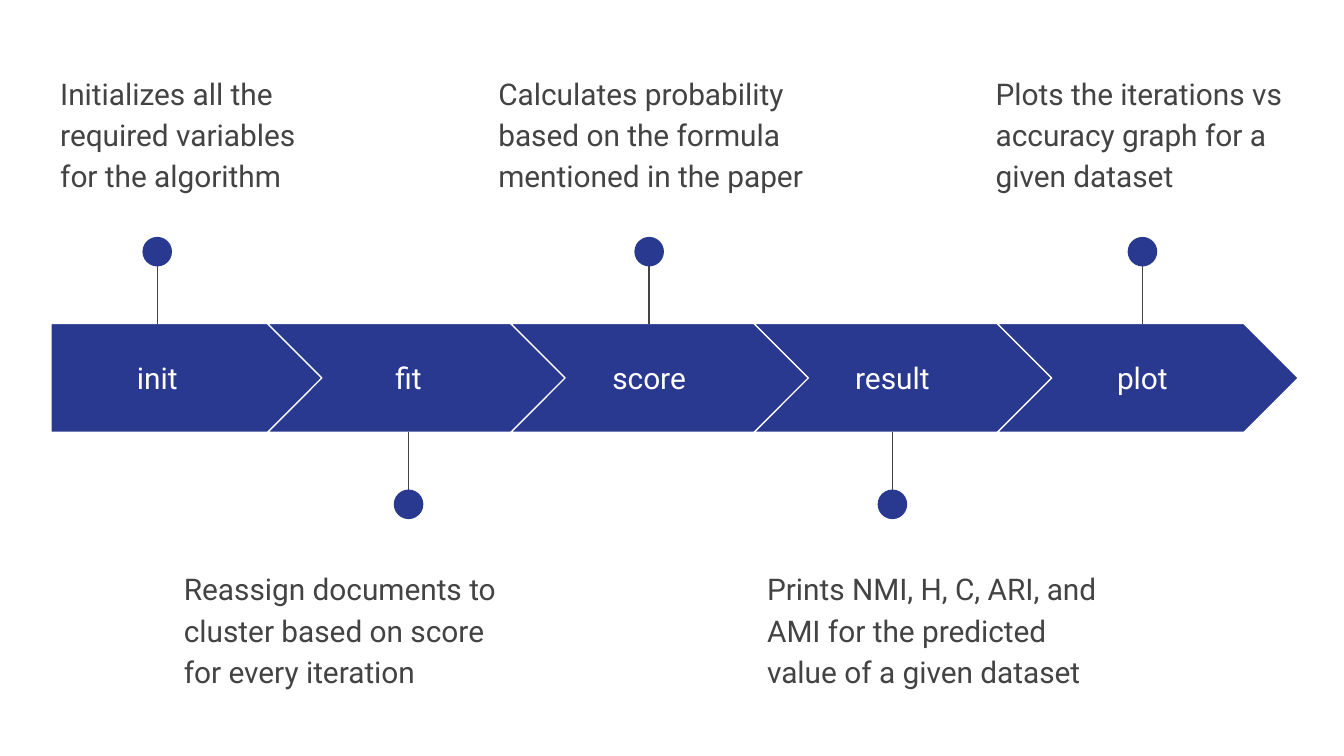
from pptx import Presentation
from pptx import util as u
from pptx.dml.color import RGBColor
from pptx.enum import shapes, text
from pptx.oxml.ns import qn
from lxml import etree

BLUE, GREY, WHITE = "2A3990", "434343", "FFFFFF"
BLANK_LAYOUT = 6
PAGE_WIDTH = 10
PAGE_HEIGHT = PAGE_WIDTH * 9 / 16

# Arrow band, centred on the page height
BAND_MIDDLE, BAND_HEIGHT = PAGE_HEIGHT / 2, 0.81
BAND_LEFT, FIRST_CHEVRON, PITCH = 0.38, 1.99, 1.81
FIRST_WIDTH, CHEVRON_WIDTH = 2.04, 2.24

# Pins, as distances from the middle of the band
PIN_FAR, PIN_NEAR, DOT_OFFSET, DOT_SIZE = 1.01, 0.4, 0.94, 0.22

# Text boxes
LABEL_HEIGHT, NOTE_HEIGHT = 0.51, 0.99
NOTE_TOPS = {-1: 0.42, 1: 4.11}  # above and below the band

# Label, pin centre, label width, note left, note width, note
STEPS = [
    ("init", 1.17, 1.59, 0.35, 2.26,
     "Initializes all the required variables for the algorithm"),
    ("fit", 3.04, 1.44, 1.27, 2.54,
     "Reassign documents to cluster based on score for every iteration"),
    ("score", 4.83, 1.44, 3.61, 2.54,
     "Calculates probability based on the formula mentioned in the paper"),
    ("result", 6.64, 1.44, 5.61, 2.66,
     "Prints NMI, H, C, ARI, and AMI for the predicted value of a given dataset"),
    ("plot", 8.5, 1.44, 7.31, 2.45,
     "Plots the iterations vs accuracy graph for a given dataset"),
]


def color(value):
    return RGBColor.from_string(value)


def inches(*lengths):
    return [u.Inches(length) for length in lengths]


def set_line(line, value):
    line.color.rgb = color(value)
    line.width = u.Pt(0.75)


def add_filled(parent, kind, left, top, width, height):
    shape = parent.shapes.add_shape(kind, *inches(left, top, width, height))
    shape.shadow.inherit = False
    shape.fill.solid()
    shape.fill.fore_color.rgb = color(BLUE)
    return shape


def add_arrow(page, index):
    kind, left, width = shapes.MSO_SHAPE.PENTAGON, BAND_LEFT, FIRST_WIDTH
    if index:
        kind, width = shapes.MSO_SHAPE.CHEVRON, CHEVRON_WIDTH
        left = FIRST_CHEVRON + (index - 1) * PITCH
    arrow = add_filled(page, kind, left, BAND_MIDDLE - BAND_HEIGHT / 2,
                       width, BAND_HEIGHT)
    arrow.adjustments[0] = 0.5
    set_line(arrow.line, WHITE)


def add_pin(page, center, side):
    """Side is -1 above the band and 1 below it."""
    pin = page.shapes.add_group_shape()
    stem = pin.shapes.add_connector(
        shapes.MSO_CONNECTOR.STRAIGHT,
        *inches(center, BAND_MIDDLE + side * PIN_FAR,
                center, BAND_MIDDLE + side * PIN_NEAR))
    set_line(stem.line, GREY)
    etree.SubElement(stem._element.spPr, qn("a:effectLst"))
    dot = add_filled(pin, shapes.MSO_SHAPE.OVAL, center - DOT_SIZE / 2,
                     BAND_MIDDLE + side * DOT_OFFSET - DOT_SIZE / 2,
                     DOT_SIZE, DOT_SIZE)
    dot.line.fill.background()


def add_text(page, wording, place, ink, anchor, paragraph_format):
    frame = page.shapes.add_textbox(*inches(*place)).text_frame
    frame_format = {"word_wrap": True, "vertical_anchor": anchor}
    for side in ("left", "top", "right", "bottom"):
        frame_format["margin_" + side] = u.Inches(0.1)
    para = frame.paragraphs[0]
    span = para.add_run()
    span.text = wording
    span.font.color.rgb = color(ink)
    font_format = {"name": "Roboto", "size": u.Pt(16)}
    for target, values in ((frame, frame_format), (para, paragraph_format),
                           (span.font, font_format)):
        for name, value in values.items():
            setattr(target, name, value)


def main():
    deck = Presentation()
    deck.slide_width, deck.slide_height = inches(PAGE_WIDTH, PAGE_HEIGHT)
    page = deck.slides.add_slide(deck.slide_layouts[BLANK_LAYOUT])

    for index, step in enumerate(STEPS):
        label, center, label_width, note_left, note_width, note = step
        side = 1 if index % 2 else -1

        # Arrow with its label
        add_arrow(page, index)
        add_text(page, label,
                 (center - label_width / 2, BAND_MIDDLE - LABEL_HEIGHT / 2,
                  label_width, LABEL_HEIGHT),
                 WHITE, text.MSO_ANCHOR.MIDDLE,
                 {"alignment": text.PP_ALIGN.CENTER})

        # Pin and note, alternately above and below
        add_pin(page, center, side)
        add_text(page, note,
                 (note_left, NOTE_TOPS[side], note_width, NOTE_HEIGHT),
                 GREY, text.MSO_ANCHOR.TOP,
                 {"line_spacing": 1.15, "space_after": u.Pt(16)})

    deck.save("out.pptx")


if __name__ == "__main__":
    main()
